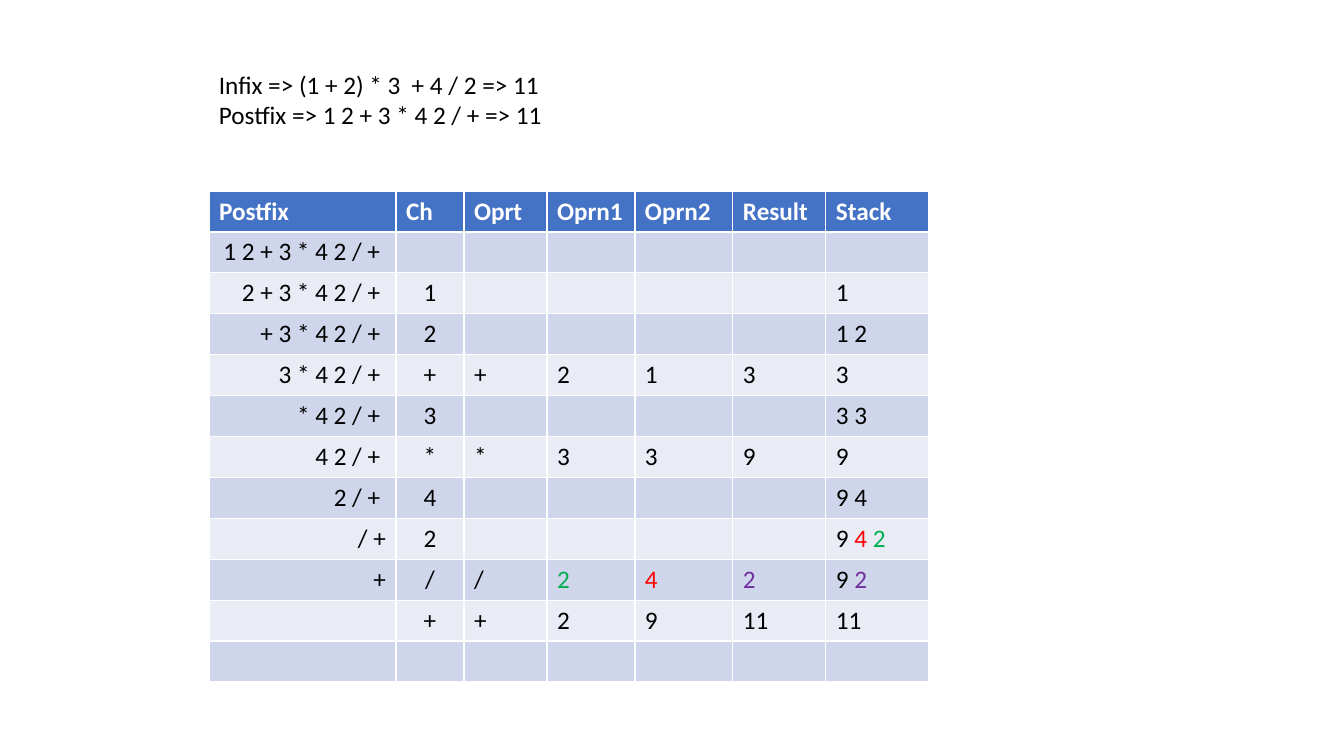
from pptx import Presentation
from pptx.dml.color import RGBColor
from pptx.enum.text import PP_ALIGN
from pptx.util import Pt

LEFT, CENTER, RIGHT = PP_ALIGN.LEFT, PP_ALIGN.CENTER, PP_ALIGN.RIGHT

# Content: a cell is a string or a list of (text, colour) pieces
EXPRESSIONS = [
    "Infix => (1 + 2) * 3  + 4 / 2 => 11",
    "Postfix => 1 2 + 3 * 4 2 / + => 11",
]
HEADINGS = ["Postfix", "Ch", "Oprt", "Oprn1", "Oprn2", "Result", "Stack"]
STEPS = [
    ["1 2 + 3 * 4 2 / + ", "", "", "", "", "", ""],
    ["2 + 3 * 4 2 / + ", "1", "", "", "", "", "1"],
    ["+ 3 * 4 2 / + ", "2", "", "", "", "", "1 2"],
    ["3 * 4 2 / + ", "+", "+", "2", "1", "3", "3"],
    ["* 4 2 / + ", "3", "", "", "", "", "3 3"],
    ["4 2 / + ", "*", "*", "3", "3", "9", "9"],
    ["2 / + ", "4", "", "", "", "", "9 4"],
    ["/ +", "2", "", "", "", "", [("9 ", "text"), ("4 ", "red"), ("2", "green")]],
    ["+", "/", "/", [("2", "green")], [("4", "red")], [("2", "purple")],
     [("9 ", "text"), ("2", "purple")]],
    ["", "+", "+", "2", "9", "11", "11"],
    ["", "", "", "", "", "", ""],
]
COLORS = {
    "header": "4472C4", "odd": "CFD5EA", "even": "E9EBF5",
    "heading": "FFFFFF", "text": "000000",
    "red": "FF0000", "green": "00B050", "purple": "7030A0",
}

# Layout in px
SLIDE_W, SLIDE_H = 1344, 756
MARGIN_X = 209
EXPRESSIONS_Y, EXPRESSIONS_W, EXPRESSIONS_H = 64, 348, 102
TABLE_Y, TABLE_H = 191, 491
COLUMN_WIDTHS = [187, 68, 83, 88, 98, 93, 103]
STEP_ALIGNMENTS = [RIGHT, CENTER] + [LEFT] * 5
FONT, FONT_SIZE = "Calibri", 18


def px(length):
    return round(length * 914400 / 100.8)


def rgb(name):
    return RGBColor.from_string(COLORS[name])


def write(paragraph, content, color="text", bold=False):
    pieces = [(content, color)] if isinstance(content, str) else content
    for text, piece_color in pieces:
        if not text:
            continue
        run = paragraph.add_run()
        run.text = text
        style = {"name": FONT, "size": Pt(FONT_SIZE), "bold": bold}
        for attribute, value in style.items():
            setattr(run.font, attribute, value)
        run.font.color.rgb = rgb(piece_color)


presentation = Presentation()
presentation.slide_width, presentation.slide_height = px(SLIDE_W), px(SLIDE_H)
slide = presentation.slides.add_slide(presentation.slide_layouts[6])

# Evaluation table; its default style draws the white rules
rows = [HEADINGS] + STEPS
steps_table = slide.shapes.add_table(
    len(rows), len(HEADINGS), px(MARGIN_X), px(TABLE_Y),
    px(sum(COLUMN_WIDTHS)), px(TABLE_H)).table
for column, width in zip(steps_table.columns, COLUMN_WIDTHS):
    column.width = px(width)

for r, row in enumerate(rows):
    is_header = r == 0
    fill = "header" if is_header else ("odd" if r % 2 else "even")
    for c, content in enumerate(row):
        cell = steps_table.cell(r, c)
        cell.fill.solid()
        cell.fill.fore_color.rgb = rgb(fill)
        paragraph = cell.text_frame.paragraphs[0]
        paragraph.alignment = LEFT if is_header else STEP_ALIGNMENTS[c]
        write(paragraph, content, "heading" if is_header else "text", is_header)

# Infix and postfix expressions
expressions = slide.shapes.add_textbox(
    px(MARGIN_X), px(EXPRESSIONS_Y), px(EXPRESSIONS_W), px(EXPRESSIONS_H)).text_frame
expressions.word_wrap = False
for i, expression in enumerate(EXPRESSIONS):
    write(expressions.add_paragraph() if i else expressions.paragraphs[0], expression)

presentation.save("out.pptx")
